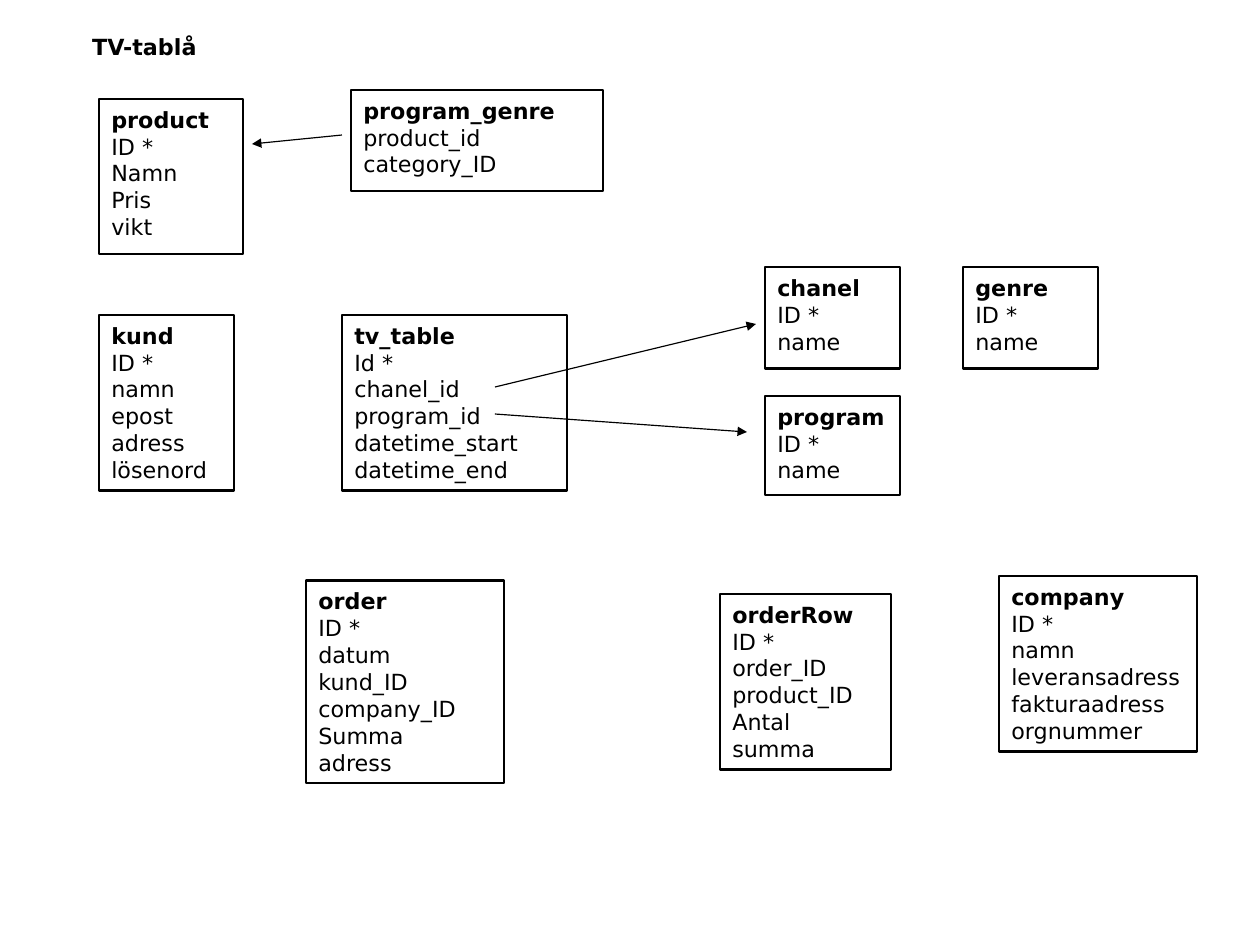
"""Builds the slide with the table boxes and arrows of a TV schedule database."""
from copy import deepcopy

from lxml import etree
from pptx import Presentation
from pptx.dml.color import RGBColor
from pptx.enum import shapes, text
from pptx.oxml import ns
from pptx.util import Pt

BLACK = "000000"
UPPER_TABLES = [
    (62.36, 62.36, 90.71, 97.8, "product", ["ID *", "Namn", "Pris", "vikt"]),
    (221.1, 56.69, 158.74, 63.78, "program_genre",
     ["product_id", "category_ID"]),
    (481.89, 168.4, 85.04, 63.78, "chanel", ["ID *", "name"]),
    (62.36, 198.43, 85.04, 110.55, "kund",
     ["ID *", "namn", "epost", "adress", "lösenord"]),
    (481.89, 249.45, 85.04, 62.36, "program", ["ID *", "name"]),
    (629.29, 362.83, 124.72, 110.55, "company",
     ["ID *", "namn", "leveransadress", "fakturaadress", "orgnummer"]),
    (192.76, 365.67, 124.72, 127.56, "order",
     ["ID *", "datum\vkund_ID", "company_ID", "Summa", "adress"]),
    (215.43, 198.43, 141.73, 110.55, "tv_table",
     ["Id *", "chanel_id", "program_id", "datetime_start", "datetime_end"]),
    (453.54, 374.17, 107.72, 110.55, "orderRow",
     ["ID *", "order_ID", "product_ID", "Antal", "summa"]),
]
GENRE_TABLE = (606.61, 168.4, 85.04, 63.78, "genre", ["ID *", "name"])
PRODUCT_ARROW = (215.43, 85.04, 158.74, 90.71)
CHANEL_ARROW = (311.81, 243.78, 476.22, 204.09)
PROGRAM_ARROW = (311.81, 260.79, 470.55, 272.13)


def colour(value):
    """Turn a hex string into a colour."""
    return RGBColor.from_string(value)


def write(para, words, size=14, bold=False, font="DejaVu Sans", fill=BLACK):
    """Write words into a paragraph, its line breaks in the same format."""
    para.alignment = text.PP_ALIGN.LEFT
    para.line_spacing = 1.01
    para.text = words
    for span in para.runs:
        span.font.size = Pt(size)
        span.font.bold = bold
        span.font.name = font
        span.font.color.rgb = colour(fill)
    for line_break in para._p.findall(ns.qn("a:br")):
        line_break.append(deepcopy(para.runs[0]._r.rPr))


def set_frame(frame, side, edge):
    """Wrap the text from the top, with the given insets."""
    frame.word_wrap = True
    frame.vertical_anchor = text.MSO_ANCHOR.TOP
    frame.margin_left = frame.margin_right = Pt(side)
    frame.margin_top = frame.margin_bottom = Pt(edge)


def add_heading(page, left, top, width, height, words):
    """Add the bold heading of the page."""
    box = page.shapes.add_textbox(Pt(left), Pt(top), Pt(width), Pt(height))
    set_frame(box.text_frame, 7.2, 3.6)
    write(box.text_frame.paragraphs[0], words, bold=True)


def add_table_box(page, left, top, width, height, name, fields):
    """Add an outlined box with a table name above its fields."""
    box = page.shapes.add_shape(shapes.MSO_SHAPE.RECTANGLE,
                                Pt(left), Pt(top), Pt(width), Pt(height))
    box.shadow.inherit = False
    box.fill.background()
    box.line.color.rgb = colour(BLACK)
    box.line.width = Pt(1.42)
    frame = box.text_frame
    set_frame(frame, 7.8, 4.25)
    write(frame.paragraphs[0], name, bold=True)
    for field in fields:
        write(frame.add_paragraph(), field)


def add_arrow(page, *ends):
    """Add a thin line with an arrowhead at its end."""
    arrow = page.shapes.add_connector(shapes.MSO_CONNECTOR.STRAIGHT,
                                      *[Pt(end) for end in ends])
    arrow.line.color.rgb = colour(BLACK)
    arrow.line.width = Pt(0.75)
    outline = arrow.line._get_or_add_ln()
    etree.SubElement(outline, ns.qn("a:tailEnd"), type="triangle")
    etree.SubElement(outline.getparent(), ns.qn("a:effectLst"))


def main():
    """Build and save the deck."""
    deck = Presentation()
    deck.slide_width, deck.slide_height = Pt(793.7), Pt(595.28)
    page = deck.slides.add_slide(deck.slide_layouts[6])
    for table in UPPER_TABLES:
        add_table_box(page, *table)
    add_arrow(page, *PRODUCT_ARROW)
    add_arrow(page, *CHANEL_ARROW)
    add_heading(page, 51.02, 17.01, 85.04, 24.5, "TV-tablå")
    add_arrow(page, *PROGRAM_ARROW)
    add_table_box(page, *GENRE_TABLE)
    deck.save("out.pptx")


if __name__ == "__main__":
    main()
